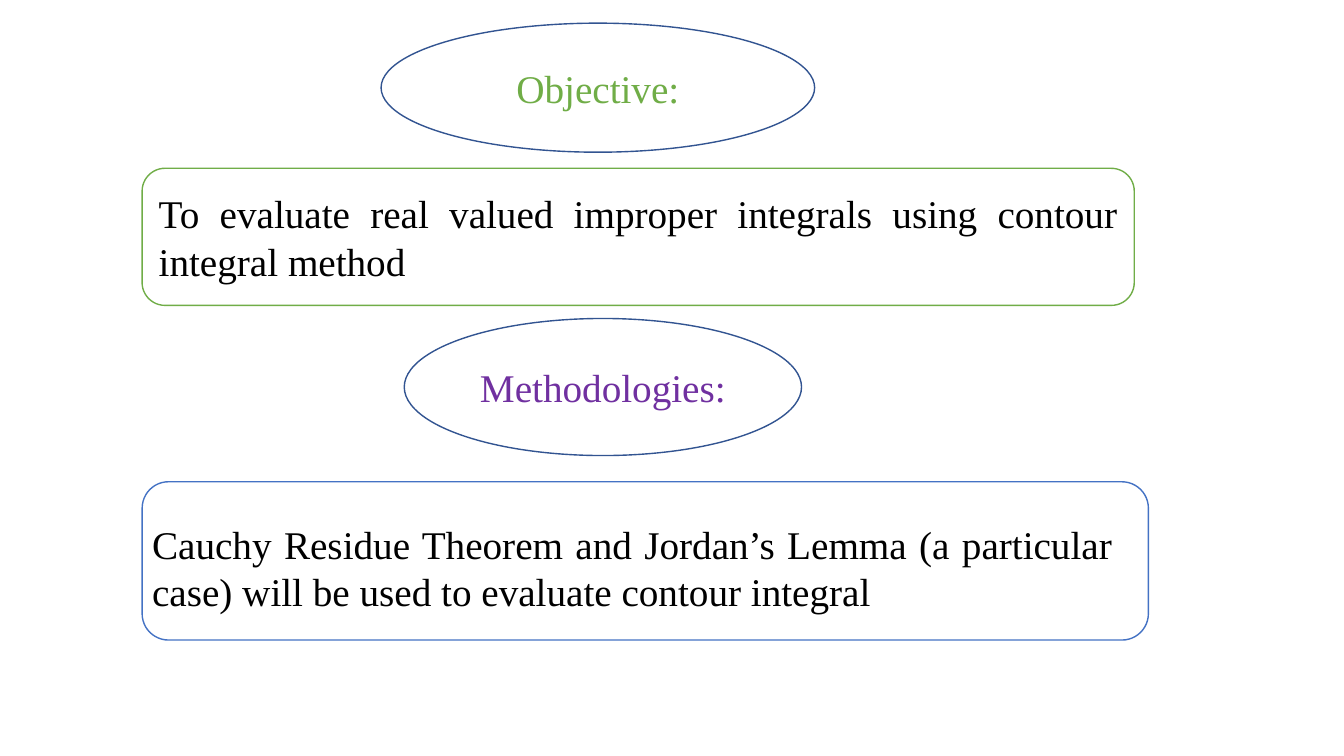
"""Builds a slide stating the objective and the methodologies."""
from dataclasses import dataclass

from pptx import Presentation
from pptx.dml.color import RGBColor
from pptx.enum.shapes import MSO_SHAPE
from pptx.enum.text import MSO_ANCHOR, PP_ALIGN
from pptx.util import Inches, Pt

OVAL, ROUNDED = MSO_SHAPE.OVAL, MSO_SHAPE.ROUNDED_RECTANGLE
MIDDLE, TOP = MSO_ANCHOR.MIDDLE, MSO_ANCHOR.TOP
CENTER, JUSTIFY = PP_ALIGN.CENTER, PP_ALIGN.JUSTIFY


@dataclass(frozen=True)
class Theme:
    font: str = "Times New Roman"
    size: int = 28
    line_width: int = 1
    black: str = "000000"
    green: str = "70AD47"
    purple: str = "7030A0"
    blue: str = "4472C4"
    navy: str = "325491"


THEME = Theme()

HEADINGS = [
    ("Objective:", THEME.green, (3.78, 0.23, 4.3, 1.28)),
    ("Methodologies:", THEME.purple, (4.01, 3.16, 3.94, 1.36)),
]
OBJECTIVE = "To evaluate real valued improper integrals using contour integral method"
OBJECTIVE_PLACE = (1.41, 1.67, 9.84, 1.36)
METHOD = ("Cauchy Residue Theorem and Jordan’s Lemma (a particular case) "
          "will be used to evaluate contour integral")
METHOD_FRAME_PLACE = (1.41, 4.78, 9.98, 1.57)
METHOD_TEXT_PLACE = (1.41, 5.11, 9.72, 1.04)


def add_outline(page, kind, place, color):
    box = page.shapes.add_shape(kind, *map(Inches, place))
    box.shadow.inherit = False
    box.fill.background()
    box.line.color.rgb = RGBColor.from_string(color)
    box.line.width = Pt(THEME.line_width)
    return box


def write(box, text, color, alignment, anchor):
    frame = box.text_frame
    frame.word_wrap = True
    frame.vertical_anchor = anchor
    para = frame.paragraphs[0]
    para.alignment = alignment
    span = para.add_run()
    span.text = text
    span.font.name = THEME.font
    span.font.size = Pt(THEME.size)
    span.font.color.rgb = RGBColor.from_string(color)


def main():
    deck = Presentation()
    deck.slide_width, deck.slide_height = Inches(13.33), Inches(7.5)
    page = deck.slides.add_slide(deck.slide_layouts[6])

    for text, color, place in HEADINGS:
        oval = add_outline(page, OVAL, place, THEME.navy)
        write(oval, text, color, CENTER, MIDDLE)

    objective = add_outline(page, ROUNDED, OBJECTIVE_PLACE, THEME.green)
    write(objective, OBJECTIVE, THEME.black, JUSTIFY, MIDDLE)

    add_outline(page, ROUNDED, METHOD_FRAME_PLACE, THEME.blue)
    method = page.shapes.add_textbox(*map(Inches, METHOD_TEXT_PLACE))
    write(method, METHOD, THEME.black, JUSTIFY, TOP)

    deck.save("out.pptx")


if __name__ == "__main__":
    main()
